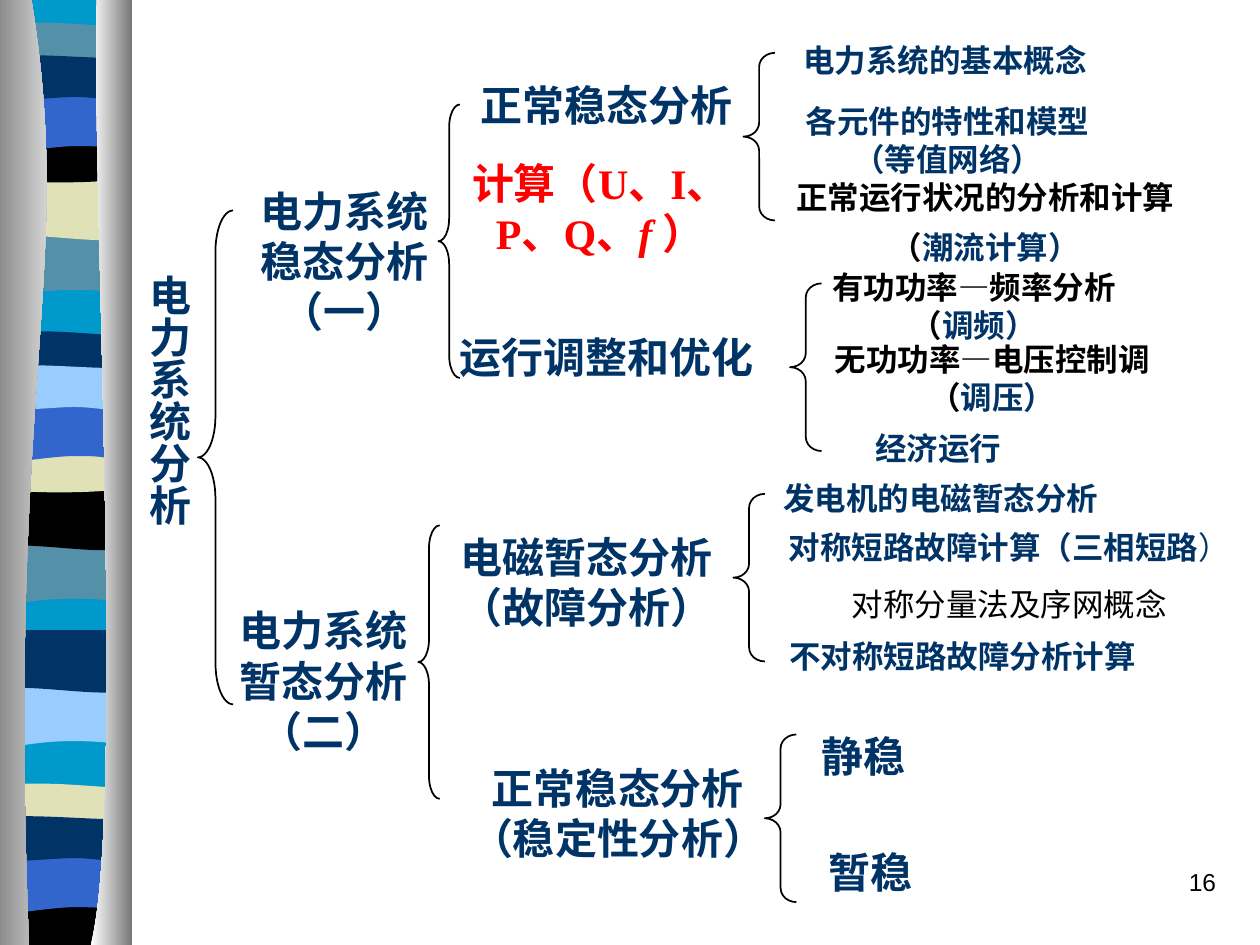
from lxml import etree
from pptx import Presentation
from pptx import util as u
from pptx.dml.color import RGBColor
from pptx.enum import shapes, text
from pptx.oxml.ns import qn

PX = 9144
NAVY = RGBColor(0x00, 0x33, 0x66)
BLUE = RGBColor(0x33, 0x66, 0xCC)
CYAN = RGBColor(0x00, 0x99, 0xCC)
SKY = RGBColor(0x99, 0xCC, 0xFF)
TEAL = RGBColor(0x54, 0x90, 0xA8)
SAND = RGBColor(0xE1, 0xE1, 0xB7)
BLACK = RGBColor(0x00, 0x00, 0x00)
RED = RGBColor(0xFF, 0x00, 0x00)
GREY = RGBColor(0x76, 0x76, 0x76)
WHITE = RGBColor(0xFF, 0xFF, 0xFF)

prs = Presentation()
prs.slide_width, prs.slide_height = 1000 * PX, 750 * PX
slide = prs.slides.add_slide(prs.slide_layouts[6])


def add_outline(edges, left=0, top=0):
    points = [(left + x, top + y) for edge in edges for x, y in edge]
    builder = slide.shapes.build_freeform(*points[0], scale=PX)
    builder.add_line_segments(points[1:], close=True)
    outline = builder.convert_to_shape()
    trace = outline._element.find(".//" + qn("a:path"))
    lines = iter(trace.findall(qn("a:lnTo")))
    for edge in edges[1:]:
        group = [next(lines) for _ in edge]
        if len(edge) == 3:
            curve = etree.Element(qn("a:cubicBezTo"))
            group[0].addprevious(curve)
            for line in group:
                curve.append(line[0])
                trace.remove(line)
    outline.shadow.inherit = False
    outline.line.fill.background()
    return outline


def add_text(left, top, width, height, size, paragraphs, font="Times New Roman",
             align=text.PP_ALIGN.CENTER, spacing=1.0):
    box = slide.shapes.add_textbox(left * PX, top * PX, width * PX, height * PX)
    frame = box.text_frame
    frame.word_wrap = True
    for i, runs in enumerate(paragraphs):
        paragraph = frame.paragraphs[0] if i == 0 else frame.add_paragraph()
        paragraph.alignment = align
        paragraph.line_spacing = spacing
        if i:
            paragraph.space_before = u.Pt(11.2)
        for words, colour, bold, italic in runs:
            run = paragraph.add_run()
            run.text = words
            run.font.name = font
            run.font.size = u.Pt(size)
            run.font.bold = bold
            run.font.italic = italic
            run.font.color.rgb = colour
    return box


DIP = [[(108, 0)], [(108, 47)], [(33, 38), (18, 54), (0, 47)], [(0, 0)]]
SWELL = [[(108, 0)], [(108, 47)], [(90, 55), (33, 42), (0, 47)], [(0, 0)]]
THIN = [[(108, 0)], [(108, 24)], [(90, 28), (18, 28), (0, 24)], [(0, 0)],
        [(7, -5), (23, -4), (41, -4)], [(59, -4), (94, -1), (108, 0)]]
SAG = [[(0, 0)], [(66, 5), (86, 0), (108, 0)]]
BAND = [[(108, 0)], [(108, 33)], [(90, 38), (18, 38), (0, 33)]] + SAG
FOOT = [[(108, 0)], [(108, 38)], [(0, 38)]] + SAG
ARCH = [[(108, 0)], [(108, 47)], [(91, 41), (84, 41), (66, 41)],
        [(48, 41), (16, 47), (0, 47)], [(0, 0)]]
RIPPLE = [[(108, 0)], [(108, 31)], [(101, 36), (84, 31), (66, 31)],
          [(48, 31), (11, 36), (0, 31)], [(0, 0)],
          [(15, -5), (73, 0), (91, 0)], [(109, 0), (105, 0), (108, 0)]]
BACKING = [[(108, 0)], [(108, 748)], [(0, 748)], [(0, 0)]]

for left, top, profile, colour in [
    (-6, 0, BACKING, CYAN),
    (-6, 186, DIP, TEAL), (-6, 141, SWELL, SAND), (-6, 22, THIN, TEAL),
    (-6, 108, BAND, BLACK), (-6, 75, ARCH, BLUE), (-6, 46, RIPPLE, NAVY),
    (-7, 431, DIP, TEAL), (-7, 387, SWELL, BLACK), (-7, 267, THIN, NAVY),
    (-7, 354, BAND, SAND), (-7, 321, ARCH, BLUE), (-7, 292, RIPPLE, SKY),
    (-6, 544, DIP, SKY), (-6, 500, SWELL, NAVY), (-7, 626, THIN, SAND),
    (-7, 712, FOOT, BLACK), (-7, 679, ARCH, BLUE), (-7, 650, RIPPLE, NAVY),
]:
    stripe = add_outline(profile, left, top)
    stripe.fill.solid()
    stripe.fill.fore_color.rgb = colour

for edges, colours in [
    ([[(25, 0)], [(60, 217), (5, 296), (23, 750)], [(-11, 750)], [(-12, 0)]], (GREY, WHITE)),
    ([[(77, 0)], [(72, 125), (100, 647), (72, 750)], [(105, 750)], [(105, 0)]], (WHITE, GREY)),
]:
    curtain = add_outline(edges)
    curtain.fill.gradient()
    curtain.fill.gradient_angle = 0
    for stop, colour, position in zip(curtain.fill.gradient_stops, colours, (0, 1)):
        stop.color.rgb = colour
        stop.position = position

for left, top, width, height in [
    (157, 167, 28, 392), (348, 83, 17, 217), (332, 417, 17, 217), (590, 42, 25, 133),
    (627, 225, 25, 133), (582, 392, 25, 133), (607, 583, 25, 133),
]:
    brace = slide.shapes.add_shape(shapes.MSO_SHAPE.LEFT_BRACE,
                                   left * PX, top * PX, width * PX, height * PX)
    brace.adjustments[0] = height / width / 12
    brace.shadow.inherit = False
    brace.fill.background()
    brace.line.color.rgb = BLACK
    brace.line.width = u.Pt(1)

for left, top, width, height, size, words in [
    (182, 142, 183, 130, 24, "电力系统稳态分析（一）"),
    (165, 475, 183, 130, 24, "电力系统暂态分析（二）"),
    (348, 58, 267, 50, 24, "正常稳态分析"),
    (347, 258, 268, 50, 24, "运行调整和优化"),
    (332, 417, 267, 90, 24, "电磁暂态分析（故障分析）"),
    (357, 600, 267, 90, 24, "正常稳态分析（稳定性分析）"),
    (623, 575, 125, 50, 24, "静稳"),
    (632, 667, 117, 50, 24, "暂稳"),
    (571, 28, 358, 40, 18, "电力系统的基本概念"),
    (618, 76, 268, 70, 18, "各元件的特性和模型（等值网络）"),
    (657, 336, 175, 40, 18, "经济运行"),
    (607, 375, 279, 40, 18, "发电机的电磁暂态分析"),
    (587, 501, 354, 40, 18, "不对称短路故障分析计算"),
]:
    add_text(left, top, width, height, size, [[(words, NAVY, True, False)]])

root = add_text(99, 208, 60, 292, 24, [[("电力系统分析", NAVY, True, False)]]).text_frame
root._txBody.bodyPr.set("vert", "eaVert")
root.auto_size = text.MSO_AUTO_SIZE.SHAPE_TO_FIT_TEXT
root.margin_left = root.margin_right = 5 * PX
root.margin_top = root.margin_bottom = 10 * PX

add_text(363, 120, 227, 90, 24, [[("计算（U、I、P、Q、", RED, True, False),
                                  ("f ", RED, True, True), ("）", RED, True, False)]])
add_text(607, 142, 350, 74, 18, [[("正常运行状况的分析和计算", BLACK, True, False)],
                                 [("（", BLACK, True, False), ("潮流计算）", NAVY, True, False)]],
         spacing=0.8)
for left, top, width, subject, method in [
    (636, 208, 274, "有功功率—频率分析（", "调频）"),
    (634, 265, 307, "无功功率—电压控制调（", "调压）"),
]:
    add_text(left, top, width, 70, 18, [[(subject, BLACK, True, False), (method, NAVY, True, False)]])
add_text(602, 414, 398, 86, 18, [[("对称短路故障计算（三相短路", NAVY, True, False),
                                  ("）", NAVY, False, False)],
                                 [("对称分量法及序网概念", BLACK, False, False)]])
add_text(767, 683, 208, 50, 14, [[("16", BLACK, False, False)]], "Arial", text.PP_ALIGN.RIGHT)

prs.save("out.pptx")
